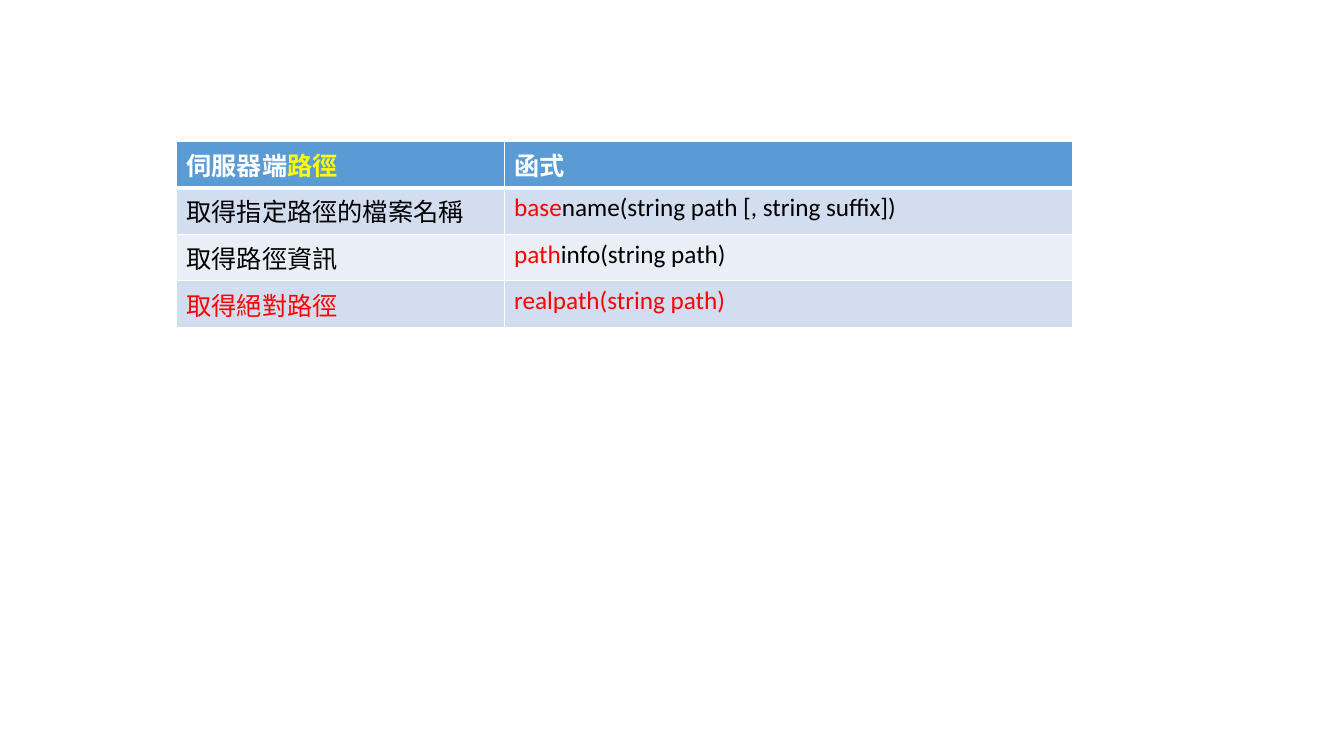
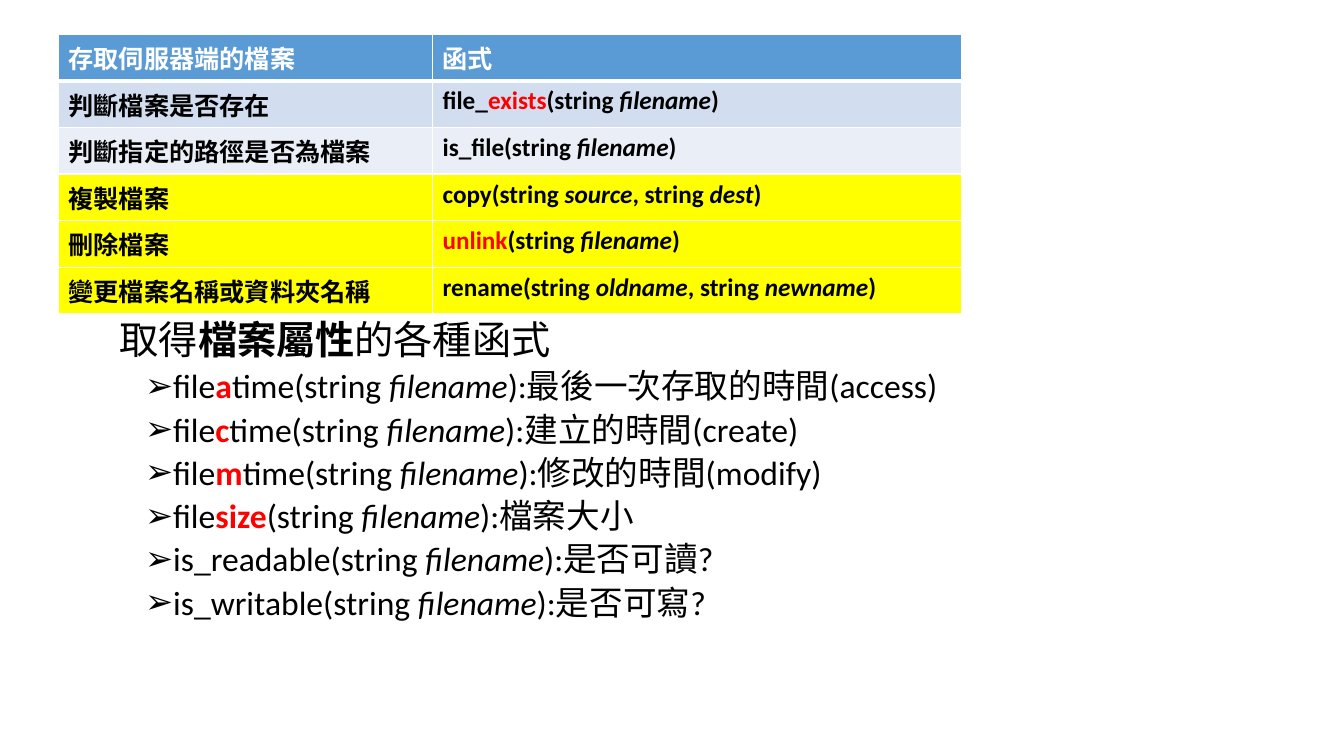
from lxml.etree import SubElement
from pptx import Presentation
from pptx.dml.color import RGBColor
from pptx.enum.lang import MSO_LANGUAGE_ID
from pptx.oxml.ns import qn
from pptx.util import Inches, Pt

WHITE = RGBColor(0xFF, 0xFF, 0xFF)
BLACK = RGBColor(0, 0, 0)
RED = RGBColor(0xFF, 0, 0)
YELLOW = RGBColor(0xFF, 0xFF, 0)
HEADER_BLUE = RGBColor(0x5B, 0x9B, 0xD5)
BAND_DARK = RGBColor(0xD2, 0xDE, 0xEF)
BAND_LIGHT = RGBColor(0xEA, 0xEF, 0xF7)
ROW_HEIGHT = 0.405


def red(text, **style):
    return text, {"color": RED, **style}


def italic(text):
    return text, {"italic": True}


def arial(text):
    return text, {"name": "Arial"}


# A cell or paragraph is a list of spans: plain strings or (text, style) pairs.
PATH_ROWS = [
    (["伺服器端", ("路徑", {"color": YELLOW})], ["函式"]),
    (["取得指定路徑的檔案名稱"], [red("base"), "name(string path [, string suffix])"]),
    (["取得路徑資訊"], [red("path"), "info(string path)"]),
    ([red("取得絕對路徑")], [red("realpath(string path)")]),
]

FILE_ROWS = [
    (["存取伺服器端的檔案"], ["函式"]),
    (["判斷檔案是否存在"],
     ["file_", red("exists"), "(string ", italic("filename"), ")"]),
    ([arial("判斷指定的路徑是否為檔案")],
     ["is_file(string ", italic("filename"), ")"]),
    (["複製檔案"],
     ["copy(string ", italic("source"), ", string ", italic("dest"), ")"]),
    ([arial("刪除檔案")],
     [red("unlink"), "(string ", italic("filename"), ")"]),
    (["變更檔案名稱或資料夾名稱"],
     ["rename(string ", italic("oldname"), ", string ", italic("newname"), ")"]),
]
HIGHLIGHTED_ROWS = (3, 4, 5)

ATTRIBUTE_HEADING = ["取得", ("檔案屬性", {"bold": True}), "的各種函式"]
ATTRIBUTE_FUNCTIONS = [
    # start, emphasised part, rest of the name, meaning
    ("file", "a", "time", "最後一次存取的時間(access)"),
    ("file", "c", "time", "建立的時間(create)"),
    ("file", "m", "time", "修改的時間(modify)"),
    ("file", "size", "", "檔案大小"),
    ("is_readable", "", "", "是否可讀?"),
    ("is_writable", "", "", "是否可寫?"),
]


def add_spans(para, spans, **base):
    """Add runs to a paragraph; a span's own style overrides the base style."""
    for span in spans:
        text, own = (span, {}) if isinstance(span, str) else span
        style = {"name": "Calibri", "size": 18, "color": BLACK,
                 "bold": False, "italic": False, **base, **own}
        run = para.add_run()
        run.text = text
        font = run.font
        font.name = style["name"]
        font.size = Pt(style["size"])
        font.bold = style["bold"]
        font.italic = style["italic"]
        font.color.rgb = style["color"]
        font.language_id = MSO_LANGUAGE_ID.TRADITIONAL_CHINESE


def add_borders(cell, top, bottom):
    """Draw white cell borders; top and bottom are widths in points."""
    properties = cell._tc.get_or_add_tcPr()
    for side, width in (("L", 1), ("R", 1), ("T", top), ("B", bottom)):
        line = SubElement(properties, qn(f"a:ln{side}"), w=str(Pt(width)))
        fill = SubElement(line, qn("a:solidFill"))
        SubElement(fill, qn("a:srgbClr"), val=str(WHITE))


def add_function_table(page, rows, left, top, widths, bold=False, highlighted=()):
    frame = page.shapes.add_table(
        len(rows), len(widths), Inches(left), Inches(top),
        Inches(sum(widths)), Inches(ROW_HEIGHT * len(rows)))
    table = frame.table
    for column, width in zip(table.columns, widths):
        column.width = Inches(width)
    for row_index, row in enumerate(rows):
        header = row_index == 0
        if header:
            color = HEADER_BLUE
        elif row_index in highlighted:
            color = YELLOW
        else:
            color = BAND_DARK if row_index % 2 else BAND_LIGHT
        for column_index, spans in enumerate(row):
            cell = table.cell(row_index, column_index)
            add_borders(cell, top=3 if row_index == 1 else 1, bottom=3 if header else 1)
            cell.fill.solid()
            cell.fill.fore_color.rgb = color
            add_spans(cell.text_frame.paragraphs[0], spans, bold=bold or header,
                      color=WHITE if header else BLACK)


def set_indent(para, left, first=0, bullet=None):
    properties = para._p.get_or_add_pPr()
    properties.set("marL", str(Inches(left)))
    properties.set("indent", str(Inches(first)))
    if bullet:
        SubElement(properties, qn("a:buFont"), typeface="Arial")
        SubElement(properties, qn("a:buChar"), char=bullet)


def add_attribute_list(page):
    box = page.shapes.add_textbox(Inches(0.84), Inches(3.13), Inches(11.5), Inches(3.11))
    frame = box.text_frame
    frame.word_wrap = True
    heading = frame.paragraphs[0]
    heading.line_spacing = 0.9
    set_indent(heading, 0.25)
    add_spans(heading, ATTRIBUTE_HEADING, size=28)
    for start, emphasis, rest, meaning in ATTRIBUTE_FUNCTIONS:
        para = frame.add_paragraph()
        para.level = 1
        para.line_spacing = 0.9
        para.space_before = Pt(5)
        set_indent(para, 0.75, -0.25, "➢")
        call = f"{rest}(string "
        name = [start, red(emphasis, bold=True), call] if emphasis else [start + call]
        add_spans(para, [*name, italic("filename"), f"):{meaning}"], size=24)


def main():
    deck = Presentation()
    deck.slide_width, deck.slide_height = Inches(13.33), Inches(7.5)
    blank = deck.slide_layouts[6]

    path_page = deck.slides.add_slide(blank)
    add_function_table(path_page, PATH_ROWS, 1.75, 1.4, (3.25, 5.64))

    file_page = deck.slides.add_slide(blank)
    add_function_table(file_page, FILE_ROWS, 0.58, 0.34, (3.71, 5.25),
                       bold=True, highlighted=HIGHLIGHTED_ROWS)
    add_attribute_list(file_page)

    deck.save("out.pptx")


if __name__ == "__main__":
    main()
